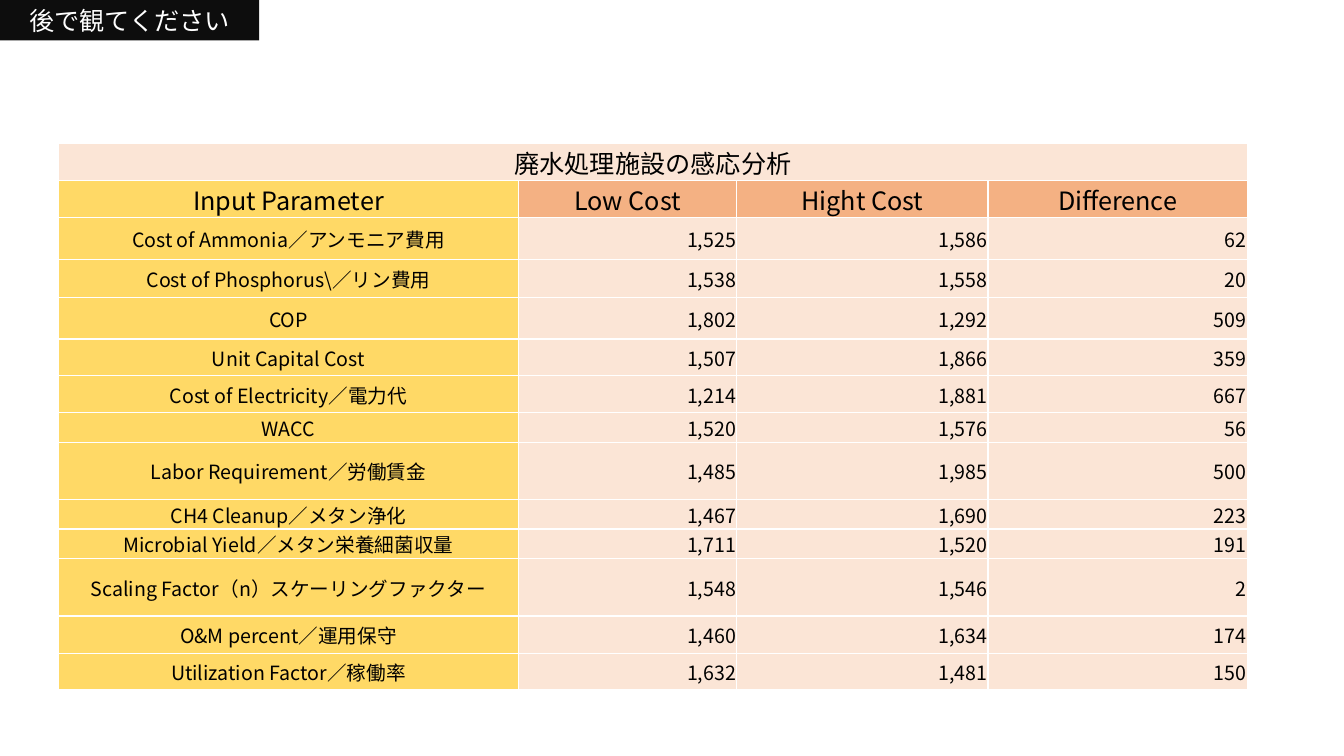
from typing import NamedTuple

from lxml import etree
from pptx import Presentation
from pptx.dml.color import RGBColor
from pptx.enum.shapes import MSO_SHAPE
from pptx.enum.text import MSO_ANCHOR, PP_ALIGN
from pptx.oxml.ns import qn
from pptx.util import Cm, Pt

RECT = MSO_SHAPE.RECTANGLE
MIDDLE = MSO_ANCHOR.MIDDLE
CENTER, RIGHT = PP_ALIGN.CENTER, PP_ALIGN.RIGHT

FONT = "Noto Sans CJK JP"
BLACK, WHITE, TAG = "000000", "FFFFFF", "0D0D0D"
PEACH, ORANGE, YELLOW = "FBE5D6", "F4B183", "FFD966"

TITLE = "廃水処理施設の感応分析"
HEADERS = ("Input Parameter", "Low Cost", "Hight Cost", "Difference")
COL_WIDTHS = (11.58, 5.51, 6.33, 6.53)
TITLE_HEIGHT, HEADER_HEIGHT = 0.89, 0.94


class Parameter(NamedTuple):
    name: str
    low: int
    high: int
    difference: int
    height: float


PARAMETERS = (
    Parameter("Cost of Ammonia／アンモニア費用", 1525, 1586, 62, 1.04),
    Parameter("Cost of Phosphorus\\／リン費用", 1538, 1558, 20, 0.97),
    Parameter("COP", 1802, 1292, 509, 1.04),
    Parameter("Unit Capital Cost", 1507, 1866, 359, 0.92),
    Parameter("Cost of Electricity／電力代", 1214, 1881, 667, 0.94),
    Parameter("WACC", 1520, 1576, 56, 0.73),
    Parameter("Labor Requirement／労働賃金", 1485, 1985, 500, 1.45),
    Parameter("CH4 Cleanup／メタン浄化", 1467, 1690, 223, 0.73),
    Parameter("Microbial Yield／メタン栄養細菌収量", 1711, 1520, 191, 0.73),
    Parameter("Scaling Factor（n）スケーリングファクター", 1548, 1546, 2, 1.45),
    Parameter("O&M percent／運用保守", 1460, 1634, 174, 0.94),
    Parameter("Utilization Factor／稼働率", 1632, 1481, 150, 0.92),
)


def rgb(color: str) -> RGBColor:
    return RGBColor.from_string(color)


def add_text(tf, text: str, size: float, color: str, align) -> None:
    p = tf.paragraphs[0]
    p.alignment = align
    r = p.add_run()
    r.text = text
    r.font.size = Pt(size)
    r.font.color.rgb = rgb(color)
    r.font.name = FONT
    east_asian = etree.SubElement(r.font._element, qn("a:ea"))
    east_asian.set("typeface", FONT)


def style_cell(cell, fill: str) -> None:
    """Set the margins, white borders and fill of a cell."""
    cell.margin_left = cell.margin_right = cell.margin_top = Cm(0.02)
    cell.margin_bottom = 0
    cell.vertical_anchor = MIDDLE
    tc_pr = cell._tc.get_or_add_tcPr()
    for side in ("a:lnL", "a:lnR", "a:lnT", "a:lnB"):
        ln = etree.SubElement(tc_pr, qn(side), w=str(Pt(1)))
        line_fill = etree.SubElement(ln, qn("a:solidFill"))
        etree.SubElement(line_fill, qn("a:srgbClr"), val=WHITE)
    cell.fill.solid()
    cell.fill.fore_color.rgb = rgb(fill)


def add_tag(s, text: str) -> None:
    sp = s.shapes.add_shape(RECT, 0, 0, Cm(6.53), Cm(1.02))
    sp.shadow.inherit = False
    sp.fill.solid()
    sp.fill.fore_color.rgb = rgb(TAG)
    sp.line.fill.background()
    tf = sp.text_frame
    tf.word_wrap = True
    tf.vertical_anchor = MIDDLE
    tf.margin_top = tf.margin_bottom = 0
    add_text(tf, text, 18, WHITE, CENTER)


def add_cost_table(s) -> None:
    heights = (TITLE_HEIGHT, HEADER_HEIGHT, *(item.height for item in PARAMETERS))
    table = s.shapes.add_table(
        len(heights), len(COL_WIDTHS), Cm(1.48), Cm(3.61),
        Cm(sum(COL_WIDTHS)), Cm(sum(heights)),
    ).table
    table.first_row = table.horz_banding = False
    for column, width in zip(table.columns, COL_WIDTHS):
        column.width = Cm(width)
    for row, height in zip(table.rows, heights):
        row.height = Cm(height)

    for i in range(len(COL_WIDTHS)):
        style_cell(table.cell(0, i), PEACH)
    table.cell(0, 0).merge(table.cell(0, len(COL_WIDTHS) - 1))
    add_text(table.cell(0, 0).text_frame, TITLE, 18, BLACK, CENTER)

    for i, header in enumerate(HEADERS):
        cell = table.cell(1, i)
        style_cell(cell, ORANGE if i else YELLOW)
        add_text(cell.text_frame, header, 18, BLACK, CENTER)

    for row, item in enumerate(PARAMETERS, start=2):
        values = (item.low, item.high, item.difference)
        texts = (item.name, *(f"{value:,}" for value in values))
        for i, text in enumerate(texts):
            cell = table.cell(row, i)
            style_cell(cell, PEACH if i else YELLOW)
            add_text(cell.text_frame, text, 14, BLACK, RIGHT if i else CENTER)


def main() -> None:
    prs = Presentation()
    prs.slide_width, prs.slide_height = Cm(33.87), Cm(19.05)
    s = prs.slides.add_slide(prs.slide_layouts[6])
    add_tag(s, "後で観てください")
    add_cost_table(s)
    prs.save("out.pptx")


if __name__ == "__main__":
    main()
